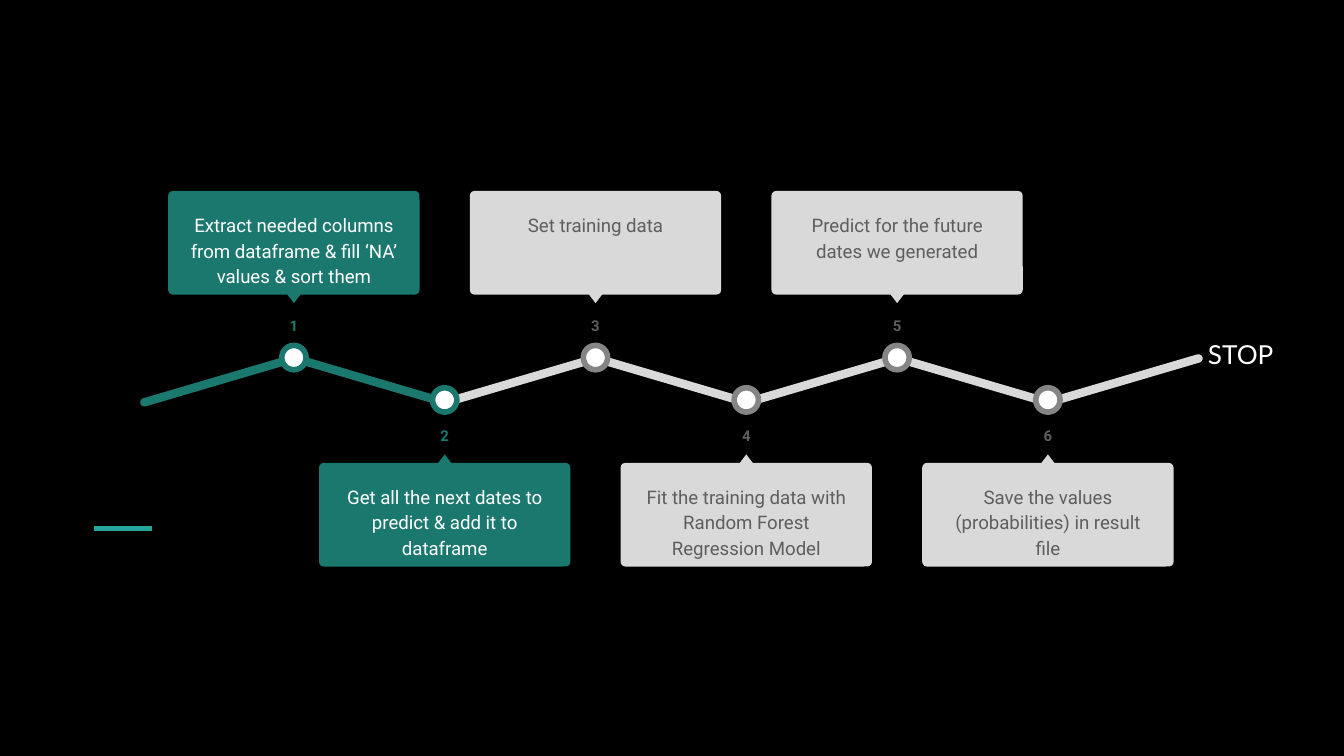
import pptx
import pptx.dml.color
import pptx.enum.shapes
import pptx.enum.text
import pptx.oxml.ns
import pptx.util
from pptx.util import Cm

SHAPE = pptx.enum.shapes.MSO_SHAPE
TEAL, LIGHT, GRAY, DARK, WHITE = "1B786E", "D9D9D9", "858585", "5E5E5E", "FFFFFF"
STEPS = [
    "Extract needed columns from dataframe & fill ‘NA’ values & sort them",
    "Get all the next dates to predict & add it to dataframe",
    "Set training data",
    "Fit the training data with Random Forest Regression Model",
    "Predict for the future dates we generated",
    "Save the values (probabilities) in result file",
]
DONE_STEPS = 2
PITCH = 2.85
STEP_WIDTH, STEP_HEIGHT = 4.75, 3.38


def color(value):
    return pptx.dml.color.RGBColor.from_string(value)


def add_shape(slide, kind, left, top, width, height, fill, line=None):
    shape = slide.shapes.add_shape(kind, Cm(left), Cm(top), Cm(width), Cm(height))
    shape.shadow.inherit = False
    shape.fill.solid()
    shape.fill.fore_color.rgb = color(fill)
    if line:
        shape.line.color.rgb = color(line)
        shape.line.width = pptx.util.Pt(3)
    else:
        shape.line.fill.background()
    return shape


def set_text(shape, text, size, fill, font="Roboto", bold=False, centered=True, inset=0.25):
    frame = shape.text_frame
    frame.word_wrap = True
    frame.vertical_anchor = pptx.enum.text.MSO_ANCHOR.TOP
    frame.margin_left = frame.margin_right = Cm(inset)
    frame.margin_top = frame.margin_bottom = Cm(inset)
    frame.text = text
    paragraph = frame.paragraphs[0]
    paragraph.font.name = font
    paragraph.font.size = pptx.util.Pt(size)
    paragraph.font.bold = bold
    paragraph.font.color.rgb = color(fill)
    if centered:
        paragraph.alignment = pptx.enum.text.PP_ALIGN.CENTER
        paragraph.line_spacing = 1.15


def add_text_box(slide, left, top, width, height, text, size, fill, **options):
    box = slide.shapes.add_textbox(Cm(left), Cm(top), Cm(width), Cm(height))
    set_text(box, text, size, fill, **options)


def draw_zigzag(slide, left, top):
    """Draw the bars from right to left, so that earlier ones lie on top."""
    for index in reversed(range(len(STEPS) + 1)):
        fill = TEAL if index < DONE_STEPS else LIGHT
        bar = add_shape(slide, SHAPE.ROUNDED_RECTANGLE, left + index * PITCH, top, 3.1, 0.16, fill)
        bar.adjustments[0] = 0.5
        bar.rotation = 16.4 if index % 2 else -16.4


def draw_step(slide, left, top, number, text):
    """Draw card, pointer, number and dot; even steps are mirrored vertically."""
    above = number % 2 == 1
    done = number <= DONE_STEPS
    fill = TEAL if done else LIGHT
    center = left + STEP_WIDTH / 2

    def place(offset, height):
        return top + (offset if above else STEP_HEIGHT - offset - height)

    card = add_shape(slide, SHAPE.ROUNDED_RECTANGLE, left, place(0, 1.96), STEP_WIDTH, 1.96, fill)
    card.adjustments[0] = 0.045
    set_text(card, text, 10, WHITE if done else DARK, inset=0.34)

    pointer = add_shape(slide, SHAPE.ISOSCELES_TRIANGLE, center - 0.13, place(1.95, 0.17), 0.26, 0.17, fill)
    pointer.rotation = 180 if above else 0

    add_text_box(slide, center - 0.96, place(2.13, 0.76), 1.92, 0.76,
                 str(number), 8, TEAL if done else DARK, bold=True)
    add_shape(slide, SHAPE.OVAL, center - 0.23, place(2.92, 0.46), 0.46, 0.46,
              WHITE, TEAL if done else GRAY)


def draw_accent(slide, left, top, width):
    accent = slide.shapes.add_connector(
        pptx.enum.shapes.MSO_CONNECTOR.STRAIGHT, Cm(left), Cm(top), Cm(left + width), Cm(top))
    accent.line.color.rgb = color("26A69A")
    accent.line.width = pptx.util.Pt(2.25)
    properties = accent.element.spPr
    properties.append(properties.makeelement(pptx.oxml.ns.qn("a:effectLst"), {}))


def draw_timeline(slide, left, top):
    draw_zigzag(slide, left, top + 3.5)
    for index, text in enumerate(STEPS):
        step_top = top + (index % 2) * 3.72
        draw_step(slide, left + 0.59 + index * PITCH, step_top, index + 1, text)
    add_text_box(slide, left + 19.99, top + 2.54, 2.21, 1.12, "STOP", 14, WHITE,
                 font="Lato", centered=False)


def main():
    presentation = pptx.Presentation()
    presentation.slide_width, presentation.slide_height = Cm(25.4), Cm(14.29)
    slide = presentation.slides.add_slide(presentation.slide_layouts[6])
    slide.background.fill.solid()
    slide.background.fill.fore_color.rgb = color("000000")
    draw_accent(slide, 1.78, 9.99, 1.09)
    draw_timeline(slide, 2.59, 3.61)
    presentation.save("out.pptx")


if __name__ == "__main__":
    main()
